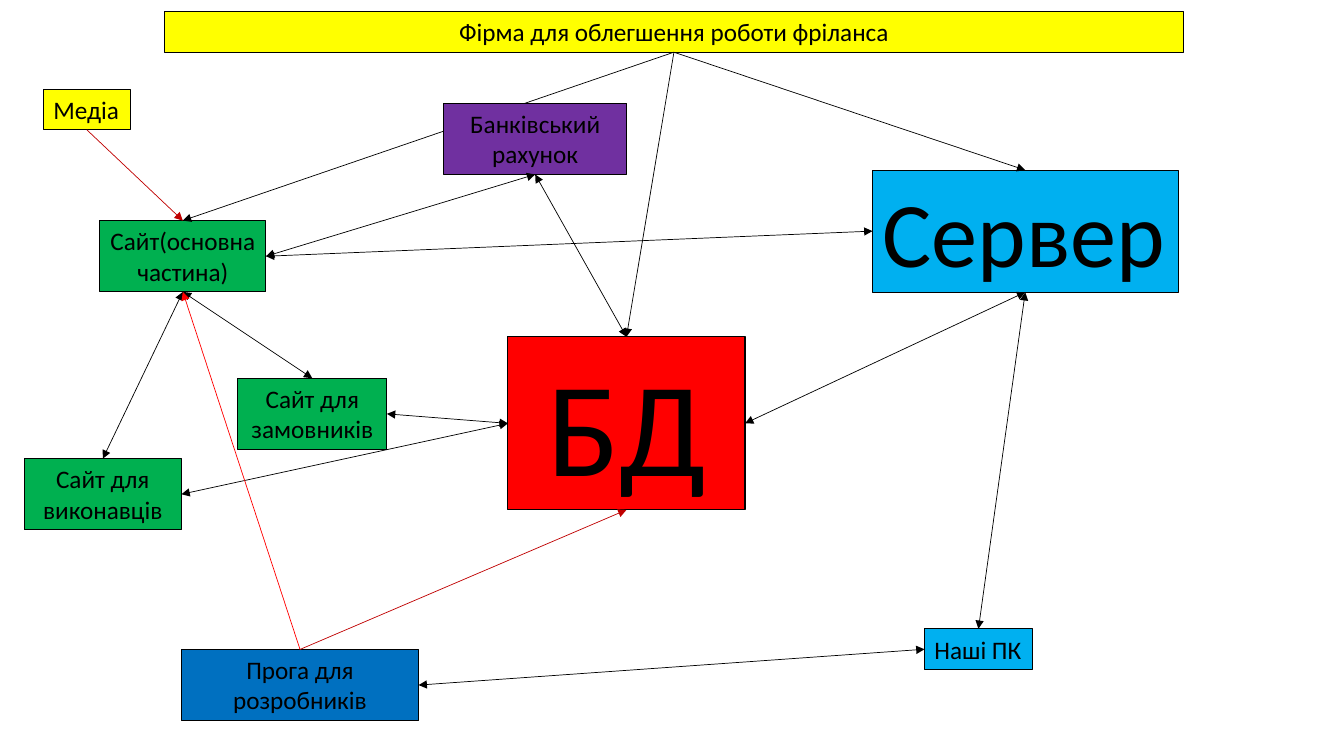
from dataclasses import dataclass

from lxml import etree
from pptx import Presentation
from pptx.dml.color import RGBColor
from pptx.enum import shapes, text
from pptx.oxml import ns
from pptx.util import Pt


@dataclass(frozen=True)
class Theme:
    """Colours, type sizes and line widths of the slide."""
    font: str = "Calibri"
    ink: str = "000000"
    gold: str = "FFFF00"
    green: str = "00B050"
    red: str = "FF0000"
    dark: str = "C00000"
    plum: str = "7030A0"
    blue: str = "0070C0"
    sky: str = "00B0F0"
    small: int = 18
    large: int = 66
    huge: int = 96
    edge: float = 0.75
    thin: float = 0.5


THEME = Theme()
TOP, LEFT, BOTTOM, RIGHT = range(4)
ONE, TWO = 29.1, 50.9


def rgb(code):
    """Turn a hex code into a colour."""
    return RGBColor.from_string(code)


def style(shape, words, fill, size=THEME.small, wrap=True):
    """Fill and outline a shape and set its text."""
    shape.fill.solid()
    shape.fill.fore_color.rgb = rgb(fill)
    shape.line.color.rgb = rgb(THEME.ink)
    shape.line.width = Pt(THEME.edge)
    frame = shape.text_frame
    frame.text = words
    frame.word_wrap = wrap
    frame.auto_size = text.MSO_AUTO_SIZE.SHAPE_TO_FIT_TEXT
    frame.vertical_anchor = text.MSO_ANCHOR.TOP
    para = frame.paragraphs[0]
    para.alignment = text.PP_ALIGN.CENTER if wrap else text.PP_ALIGN.LEFT
    font = para.runs[0].font
    font.name, font.size = THEME.font, Pt(size)
    font.color.rgb = rgb(THEME.ink)


def head(slide, place, words, fill):
    """Move and format the title placeholder at a fixed height."""
    title = slide.shapes.title
    title.left, title.top, title.width, title.height = map(Pt, place)
    style(title, words, fill)
    title.text_frame.auto_size = text.MSO_AUTO_SIZE.NONE
    return title


def box(slide, place, words, fill, **look):
    """Add a labelled rectangle."""
    shape = slide.shapes.add_shape(
        shapes.MSO_SHAPE.RECTANGLE, *map(Pt, place))
    shape.shadow.inherit = False
    style(shape, words, fill, **look)
    return shape


def link(slide, start, out, end, into, color=THEME.ink, both=False):
    """Join two boxes with an arrow, pointed at one or both ends."""
    line = slide.shapes.add_connector(
        shapes.MSO_CONNECTOR.STRAIGHT, 0, 0, 0, 0)
    line.begin_connect(start, out)
    line.end_connect(end, into)
    line.line.color.rgb = rgb(color)
    line.line.width = Pt(THEME.thin)
    props = line.line._get_or_add_ln()
    for tag in ("a:headEnd", "a:tailEnd") if both else ("a:tailEnd",):
        etree.SubElement(props, ns.qn(tag), type="triangle")
    etree.SubElement(line._element.spPr, ns.qn("a:effectLst"))


def main():
    """Build the diagram and save it."""
    deck = Presentation()
    deck.slide_width, deck.slide_height = Pt(960), Pt(540)
    slide = deck.slides.add_slide(deck.slide_layouts[5])

    firm = head(slide, (117.4, 8.2, 728, ONE),
                "Фірма для облегшення роботи фріланса", THEME.gold)
    site = box(slide, (71.2, 157.6, 118.8, TWO),
               "Сайт(основна частина)", THEME.green)
    link(slide, firm, BOTTOM, site, TOP)

    maker = box(slide, (17.3, 327.6, 112.3, TWO),
                "Сайт для виконавців", THEME.green)
    buyer = box(slide, (169.8, 270.2, 106.6, TWO),
                "Сайт для замовників", THEME.green)
    base = box(slide, (362.8, 240.6, 169.4, 123.6), "БД",
               THEME.red, size=THEME.huge)
    bank = box(slide, (316.8, 73.7, 131, TWO),
               "Банківський рахунок", THEME.plum)
    coder = box(slide, (129.6, 463.9, 169.4, TWO),
                "Прога для розробників", THEME.blue)
    server = box(slide, (623.2, 121.5, 218.3, 87.2), "Сервер",
                 THEME.sky, size=THEME.large, wrap=False)
    desk = box(slide, (660.4, 449.2, 77, ONE), "Наші ПК",
               THEME.sky, wrap=False)
    media = box(slide, (31, 63.6, 62, ONE), "Медіа",
                THEME.gold, wrap=False)

    for end in (base, server):
        link(slide, firm, BOTTOM, end, TOP)
    for pair in (
        (buyer, RIGHT, base, LEFT),
        (maker, RIGHT, base, LEFT),
        (site, RIGHT, bank, BOTTOM),
        (site, BOTTOM, buyer, TOP),
        (site, BOTTOM, maker, TOP),
        (bank, BOTTOM, base, TOP),
        (server, BOTTOM, base, RIGHT),
        (site, RIGHT, server, LEFT),
        (coder, RIGHT, desk, LEFT),
        (server, BOTTOM, desk, TOP),
    ):
        link(slide, *pair, both=True)
    link(slide, coder, TOP, site, BOTTOM, THEME.red)
    link(slide, coder, TOP, base, BOTTOM, THEME.dark)
    link(slide, media, BOTTOM, site, TOP, THEME.dark)

    deck.save("out.pptx")


if __name__ == "__main__":
    main()
